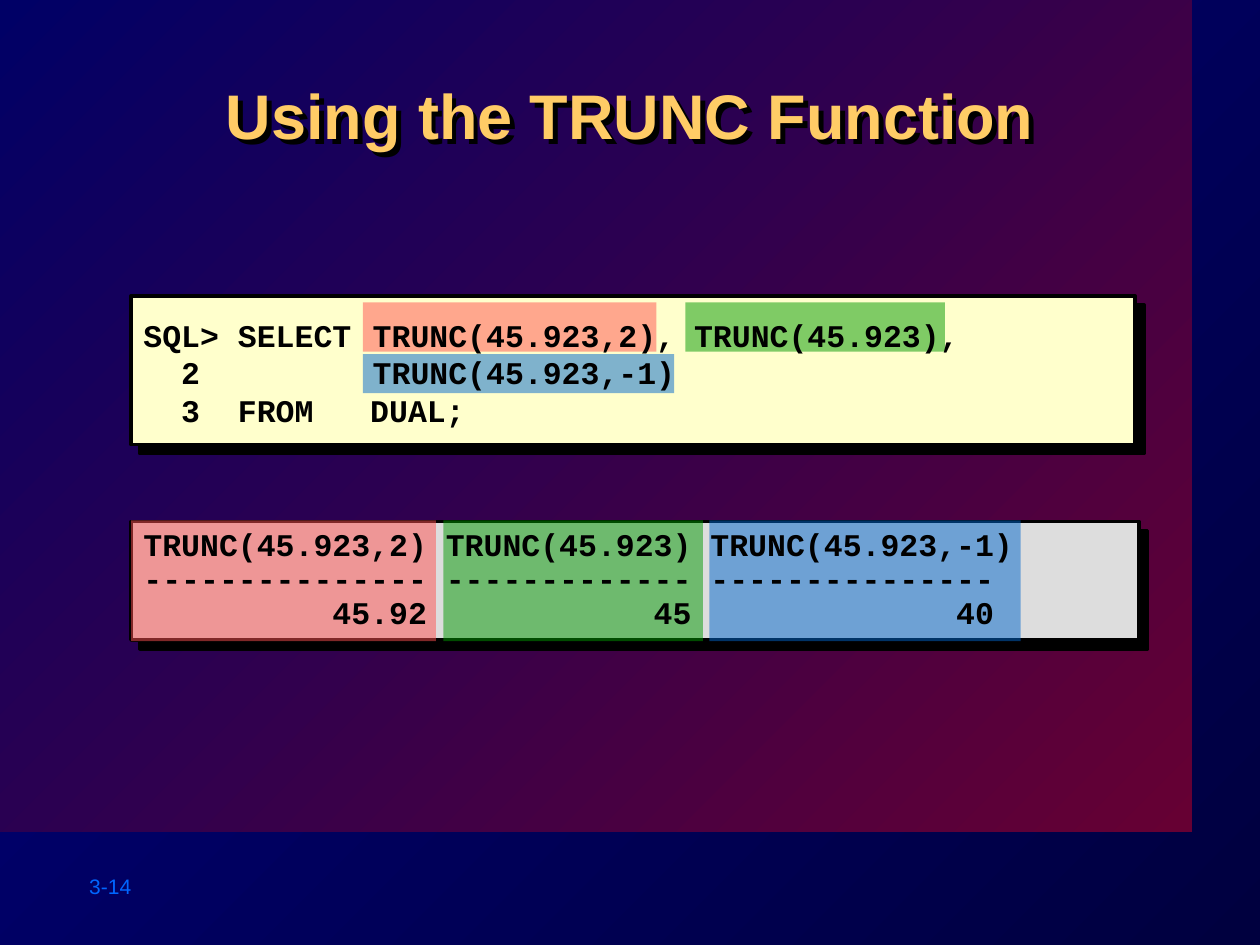
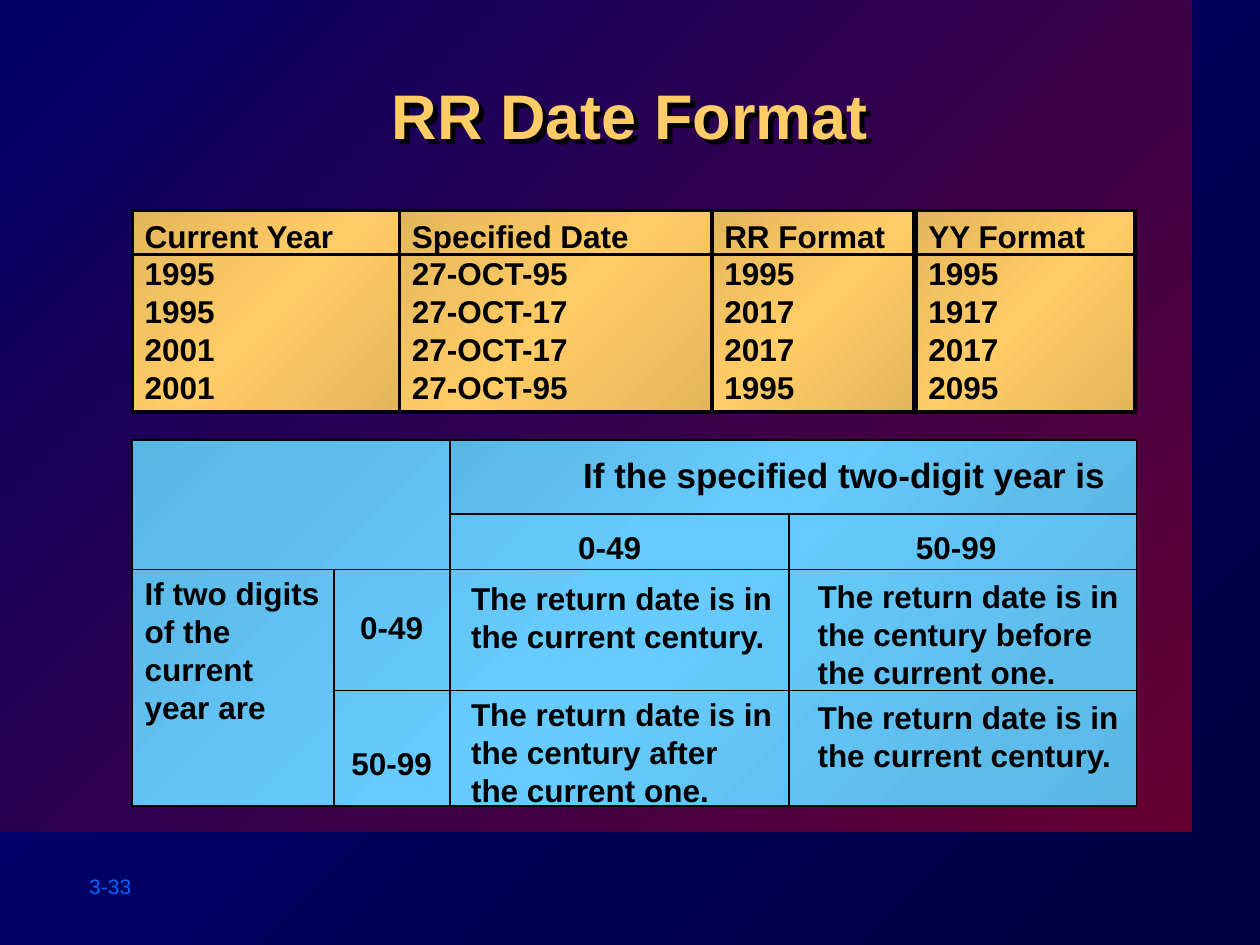
import copy

import pptx
import pptx.dml.color
import pptx.enum.shapes
import pptx.enum.text
import pptx.oxml
import pptx.oxml.ns
import pptx.util
from lxml import etree

Inches = pptx.util.Inches
RGBColor = pptx.dml.color.RGBColor
qn = pptx.oxml.ns.qn
ANCHOR = pptx.enum.text.MSO_ANCHOR
ALIGN = pptx.enum.text.PP_ALIGN

BLACK = RGBColor(0x00, 0x00, 0x00)
GOLD = RGBColor(0xFF, 0xCC, 0x66)
DARK_GOLD = RGBColor(0xE4, 0xB6, 0x5B)
SKY = RGBColor(0x66, 0xCC, 0xFF)
DARK_SKY = RGBColor(0x5B, 0xB6, 0xE4)
NAVY = RGBColor(0x00, 0x00, 0x80)
DARK_NAVY = RGBColor(0x00, 0x00, 0x3F)
MAROON = RGBColor(0x66, 0x00, 0x33)
INDIGO = RGBColor(0x00, 0x00, 0x66)
FOOTER_BLUE = RGBColor(0x00, 0x66, 0xFF)
CREAM = RGBColor(0xFF, 0xFF, 0xCC)
GREY = RGBColor(0xDD, 0xDD, 0xDD)
RED = RGBColor(0xFF, 0x50, 0x50)
GREEN = RGBColor(0x00, 0x99, 0x00)
BLUE = RGBColor(0x00, 0x66, 0xCC)

CODE_LINES = [
    "SQL> SELECT \tTRUNC(45.923,2), TRUNC(45.923),",
    "  2  \t\tTRUNC(45.923,-1)",
    "  3  FROM   DUAL;",
]
RESULT_LINES = [
    "TRUNC(45.923,2) TRUNC(45.923) TRUNC(45.923,-1)",
    "--------------- ------------- ---------------",
    "          45.92            45              40",
]
DATE_COLUMNS = [
    (0, 2.12, ["Current Year", "1995", "1995", "2001", "2001"]),
    (2.12, 2.48, ["Specified Date", "27-OCT-95", "27-OCT-17", "27-OCT-17", "27-OCT-95"]),
    (4.6, 1.6, ["RR Format", "1995", "2017", "2017", "1995"]),
    (6.22, 1.74, ["YY Format", "1995", "1917", "2017", "2095"]),
]
CENTURY_TEXTS = [
    (0, 1.02, 1.71, "If two digits of the current\vyear are"),
    (1.71, 1.29, 0.8, "0-49"),
    (1.64, 2.37, 0.95, "50-99"),
    (3.44, 0.65, 0.8, "0-49"),
    (6.12, 0.65, 0.95, "50-99"),
    (2.59, 1.06, 2.69, "The return date is in the current century."),
    (2.59, 1.98, 2.59, "The return date is in the century after the current one."),
    (5.34, 1.04, 2.69, "The return date is in the century before the current one."),
    (5.34, 2.0, 2.69, "The return date is in the current century."),
]


def fill_gradient(fill, *colors):
    """Fill diagonally from the bottom right with evenly spaced colours."""
    fill.gradient()
    fill.gradient_angle = 135
    first = fill.gradient_stops[0]._gs
    for _ in colors[2:]:
        first.addnext(copy.deepcopy(first))
    for index, (stop, color) in enumerate(zip(fill.gradient_stops, colors)):
        stop.color.rgb = color
        stop.position = index / (len(colors) - 1)


def add_shadow(shape, distance):
    """Cast a solid black shadow down and to the right."""
    shape.shadow.inherit = False
    effects = shape._element.spPr.find(qn("a:effectLst"))
    shadow = etree.SubElement(effects, qn("a:outerShdw"), dist=str(pptx.util.Pt(distance)),
                              dir="2700000", algn="ctr", rotWithShape="0")
    etree.SubElement(shadow, qn("a:srgbClr"), val=str(BLACK))


def add_box(shapes, left, top, width, height, *colors, line=None, alpha=None):
    """Add a rectangle with a plain, translucent or gradient fill."""
    box = shapes.add_shape(pptx.enum.shapes.MSO_SHAPE.RECTANGLE, Inches(left), Inches(top),
                           Inches(width), Inches(height))
    box.shadow.inherit = False
    if len(colors) > 1:
        fill_gradient(box.fill, *colors)
    else:
        box.fill.solid()
        box.fill.fore_color.rgb = colors[0]
    if alpha:
        color = box._element.spPr.find(qn("a:solidFill"))[0]
        etree.SubElement(color, qn("a:alpha"), val=str(alpha * 1000))
    if line:
        box.line.color.rgb = BLACK
        box.line.width = pptx.util.Pt(line)
    else:
        box.line.fill.background()
    return box


def add_line(slide, x1, y1, x2, y2, width):
    """Draw a straight black line."""
    line = slide.shapes.add_connector(pptx.enum.shapes.MSO_CONNECTOR.STRAIGHT,
                                      Inches(x1), Inches(y1), Inches(x2), Inches(y2))
    line.line.color.rgb = BLACK
    line.line.width = pptx.util.Pt(width)
    etree.SubElement(line._element.spPr, qn("a:effectLst"))


def write_text(shape, lines, size=18, font="Arial", color=BLACK, bold=True,
               align=ALIGN.LEFT, anchor=ANCHOR.TOP, spacing=None, tabs=()):
    """Write one paragraph for each line into a shape."""
    frame = shape.text_frame
    frame.word_wrap = True
    frame.vertical_anchor = anchor
    for index, line in enumerate(lines):
        paragraph = frame.add_paragraph() if index else frame.paragraphs[0]
        paragraph.text = line
        paragraph.alignment = align
        if spacing:
            paragraph.line_spacing = spacing
        if tabs:
            tab_list = etree.SubElement(paragraph._p.get_or_add_pPr(), qn("a:tabLst"))
            for tab in tabs:
                etree.SubElement(tab_list, qn("a:tab"), pos=str(Inches(tab)), algn="l")
        for run in paragraph.runs:
            run.font.size = pptx.util.Pt(size)
            run.font.name = font
            run.font.bold = bold
            run.font.color.rgb = color


def add_text(slide, left, top, width, height, lines, **text_format):
    """Add a text box."""
    box = slide.shapes.add_textbox(Inches(left), Inches(top), Inches(width), Inches(height))
    write_text(box, lines, **text_format)
    return box


def add_slide(presentation, title, number):
    """Add a slide with the shared background, band, title and page number."""
    slide = presentation.slides.add_slide(presentation.slide_layouts[6])
    fill_gradient(slide.background.fill, DARK_NAVY, NAVY)
    add_box(slide.shapes, 0, 0, 9.46, 6.6, MAROON, INDIGO)
    add_text(slide, 0.61, 6.88, 1.11, 0.3, [number], size=12, color=FOOTER_BLUE, bold=False)
    title_box = add_text(slide, 1.01, 0.56, 7.98, 0.96, [title], size=36, color=GOLD,
                         align=ALIGN.CENTER)
    add_shadow(title_box, 4)
    return slide


def add_query(slide, left, top):
    """Place the query panel, its result panel and the matching highlights."""
    result_top = top + 1.79
    add_shadow(add_box(slide.shapes, left, top, 7.97, 1.18, CREAM, line=2), 7.1)
    add_shadow(add_box(slide.shapes, left, result_top, 8, 0.94, GREY, line=2), 7.1)
    highlights = [
        (RED, (0, 2.42), (1.84, 0.05, 2.33, 0.39)),
        (GREEN, (2.48, 2.06), (4.4, 0.05, 2.06, 0.39)),
        (BLUE, (4.59, 2.47), (1.84, 0.46, 2.47, 0.31)),
    ]
    for color, (column_x, column_width), (call_x, call_y, call_width, call_height) in highlights:
        shapes = slide.shapes.add_group_shape().shapes
        add_box(shapes, left + column_x, result_top - 0.01, column_width, 0.96, color, alpha=50)
        add_box(shapes, left + call_x, top + call_y, call_width, call_height, color, alpha=50)
    add_text(slide, left, top - 0.26, 8, 1.73, CODE_LINES, font="Courier New",
             anchor=ANCHOR.MIDDLE, tabs=(1.31, 1.82, 2, 3, 4, 5, 6))
    add_text(slide, left, result_top + 0.01, 7.97, 0.91, RESULT_LINES, font="Courier New",
             spacing=0.9)


def add_date_columns(slide, left, top):
    """Place the gold columns of dates with a rule below their headings."""
    for x, width, lines in DATE_COLUMNS:
        column = add_box(slide.shapes, left + x, top, width, 1.6, DARK_GOLD, GOLD, DARK_GOLD,
                         line=2)
        write_text(column, lines)
    add_line(slide, left, top + 0.35, left + 7.97, top + 0.35, 2)


def add_century_grid(slide, left, top):
    """Place the blue grid that tells which century is returned."""
    width, height, header = 7.97, 2.91, 0.59
    year_x, first_x, second_x = 1.6, 2.52, 5.21
    first_y, second_y = 1.03, 1.99
    sky = (DARK_SKY, SKY, DARK_SKY)
    add_box(slide.shapes, left, top, width, height, *sky, line=1)
    add_box(slide.shapes, left + first_x, top, width - first_x, header, *sky, line=1)
    rules = [
        (0, first_y, width, first_y),
        (year_x, second_y, width, second_y),
        (year_x, first_y, year_x, height),
        (first_x, header, first_x, height),
        (second_x, header, second_x, height),
    ]
    for x1, y1, x2, y2 in rules:
        add_line(slide, left + x1, top + y1, left + x2, top + y2, 1)
    for x, y, text_width, text in CENTURY_TEXTS:
        add_text(slide, left + x, top + y, text_width, 0.4, [text])
    add_text(slide, left + 3.48, top + 0.06, 4.48, 0.43, ["If the specified two-digit year is"],
             size=20)


def main():
    """Build both slides and save them."""
    presentation = pptx.Presentation()
    presentation.slide_width = Inches(10)
    presentation.slide_height = Inches(7.5)
    add_query(add_slide(presentation, "Using the TRUNC Function", "3-14"), 1.04, 2.35)
    date_slide = add_slide(presentation, "RR Date Format", "3-33")
    add_date_columns(date_slide, 1.05, 1.67)
    add_century_grid(date_slide, 1.05, 3.49)
    presentation.save("out.pptx")


if __name__ == "__main__":
    main()
